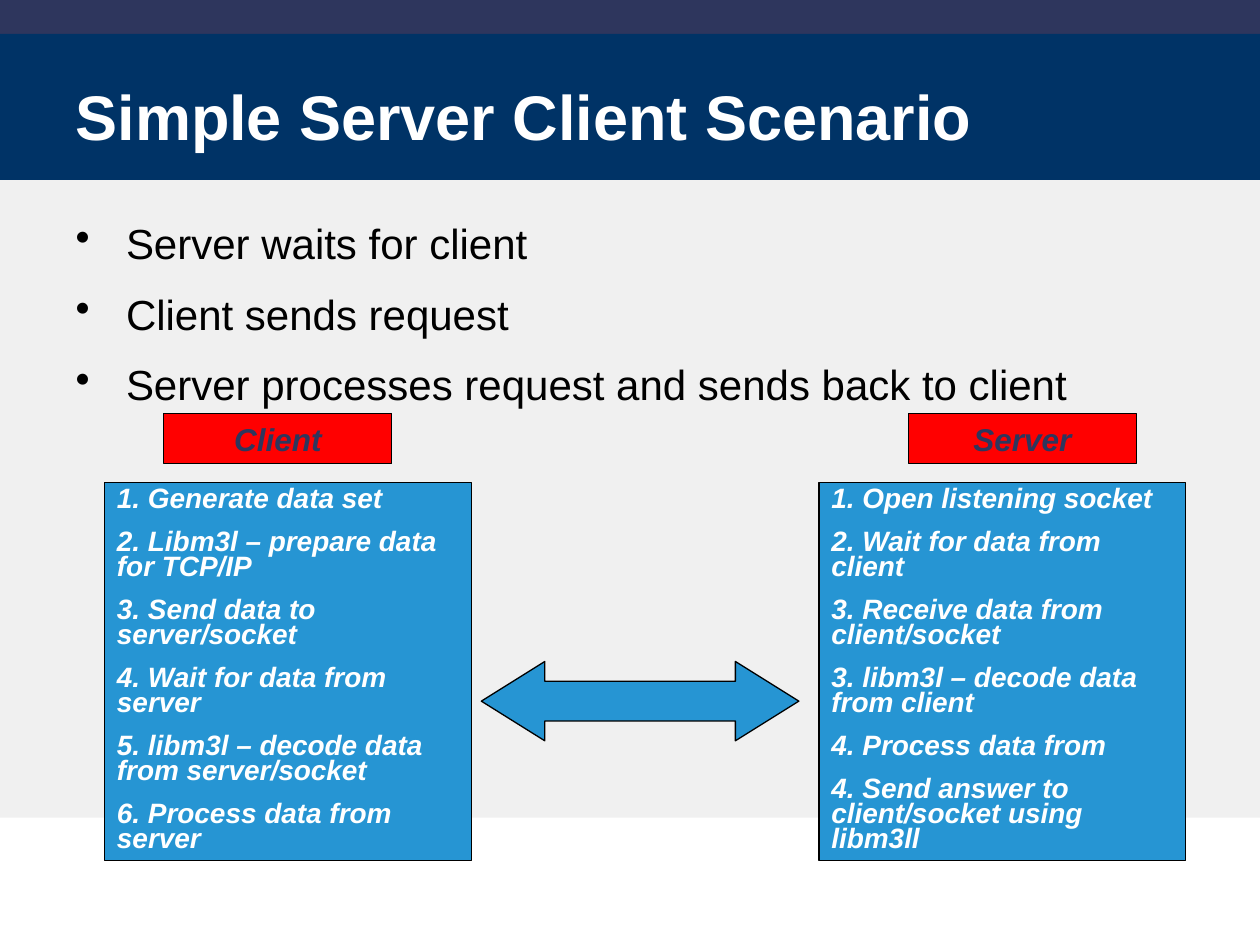
from lxml import etree
from pptx import Presentation
from pptx import util as u
from pptx.dml.color import RGBColor
from pptx.enum import shapes, text
from pptx.oxml.ns import qn

COLORS = {
    "top": "2E365D", "head": "003366", "body": "F0F0F0", "white": "FFFFFF",
    "black": "000000", "label": "FF0000", "steps": "2695D3",
}
SHAPE = shapes.MSO_SHAPE
ALIGN = text.PP_ALIGN
ANCHOR = text.MSO_ANCHOR
POINTS = [
    "Server waits for client",
    "Client sends request",
    "Server processes request and sends back to client",
]
CLIENT = [
    "1. Generate data set",
    "2. Libm3l – prepare data for TCP/IP",
    "3. Send data to server/socket",
    "4. Wait for data from server",
    "5. libm3l – decode data from server/socket",
    "6. Process data from server",
]
SERVER = [
    "1. Open listening socket",
    "2. Wait for data from client",
    "3. Receive data from client/socket",
    "3. libm3l – decode data from client",
    "4. Process data from",
    "4. Send answer to client/socket using libm3ll",
]


def rgb(name):
    return RGBColor.from_string(COLORS[name])


def add_box(slide, box, fill, line=True, kind=SHAPE.RECTANGLE):
    shape = slide.shapes.add_shape(kind, *map(u.Inches, box))
    shape.shadow.inherit = False
    shape.fill.solid()
    shape.fill.fore_color.rgb = rgb(fill)
    if line:
        shape.line.color.rgb = rgb("black")
        shape.line.width = u.Pt(0.75)
    else:
        shape.line.fill.background()
    return shape


def add_text(slide, box):
    shape = slide.shapes.add_textbox(*map(u.Inches, box))
    frame = shape.text_frame
    frame.margin_left = frame.margin_right = 0
    frame.margin_top = frame.margin_bottom = 0
    return shape


def set_text(shape, lines, size, color, bold=False, italic=False,
             align=ALIGN.LEFT, anchor=ANCHOR.TOP):
    frame = shape.text_frame
    frame.text = "\n".join(lines)
    frame.word_wrap = True
    frame.vertical_anchor = anchor
    for para in frame.paragraphs:
        para.alignment = align
        for run in para.runs:
            font = run.font
            font.name, font.size = "Arial", u.Pt(size)
            font.bold, font.italic = bold, italic
            font.color.rgb = rgb(color)
    return frame.paragraphs


def add_bands(slide, width):
    top = 0
    for fill, high in (("top", 0.27), ("head", 1.16), ("body", 5.06)):
        add_box(slide, (0, top, width, high), fill, line=False)
        top += high


def add_title(slide, box):
    set_text(add_text(slide, box), ["Simple Server Client Scenario"], 36,
             "white", bold=True, anchor=ANCHOR.MIDDLE)


def add_points(slide, box):
    for para in set_text(add_text(slide, box), POINTS, 24, "black"):
        para.space_after = u.Pt(10.5)
        para.line_spacing = 1.04
        # Hanging bullet
        props = para._p.get_or_add_pPr()
        props.set("marL", str(u.Inches(0.4)))
        props.set("indent", str(-u.Inches(0.4)))
        etree.SubElement(props, qn("a:buChar")).set("char", "•")


def add_side(slide, box, name, steps, inset):
    left, top, width, high = box
    # Red label
    label = add_box(slide, (left + inset, top, 1.81, 0.4), "label")
    set_text(label, [name], 18, "top", True, True, ALIGN.CENTER, ANCHOR.MIDDLE)
    # Blue list of steps
    panel = add_box(slide, (left, top + 0.55, width, high - 0.55), "steps")
    for para in set_text(panel, steps, 16, "white", True, True):
        para.line_spacing = 0.75
        para.space_before = u.Pt(10)


def add_arrow(slide, box):
    arrow = add_box(slide, box, "steps", kind=SHAPE.LEFT_RIGHT_ARROW)
    arrow.adjustments[0] = 0.5
    arrow.adjustments[1] = 0.8


def main():
    deck = Presentation()
    deck.slide_width, deck.slide_height = u.Inches(10), u.Inches(7.5)
    slide = deck.slides.add_slide(deck.slide_layouts[6])
    add_bands(slide, 10)
    add_title(slide, (0.6, 0.6, 8.81, 0.63))
    add_points(slide, (0.6, 1.71, 8.81, 4.51))
    add_side(slide, (0.83, 3.28, 2.91, 3.55), "Client", CLIENT, 0.47)
    add_side(slide, (6.5, 3.28, 2.91, 3.55), "Server", SERVER, 0.71)
    add_arrow(slide, (3.82, 5.25, 2.52, 0.63))
    deck.save("out.pptx")


if __name__ == "__main__":
    main()
